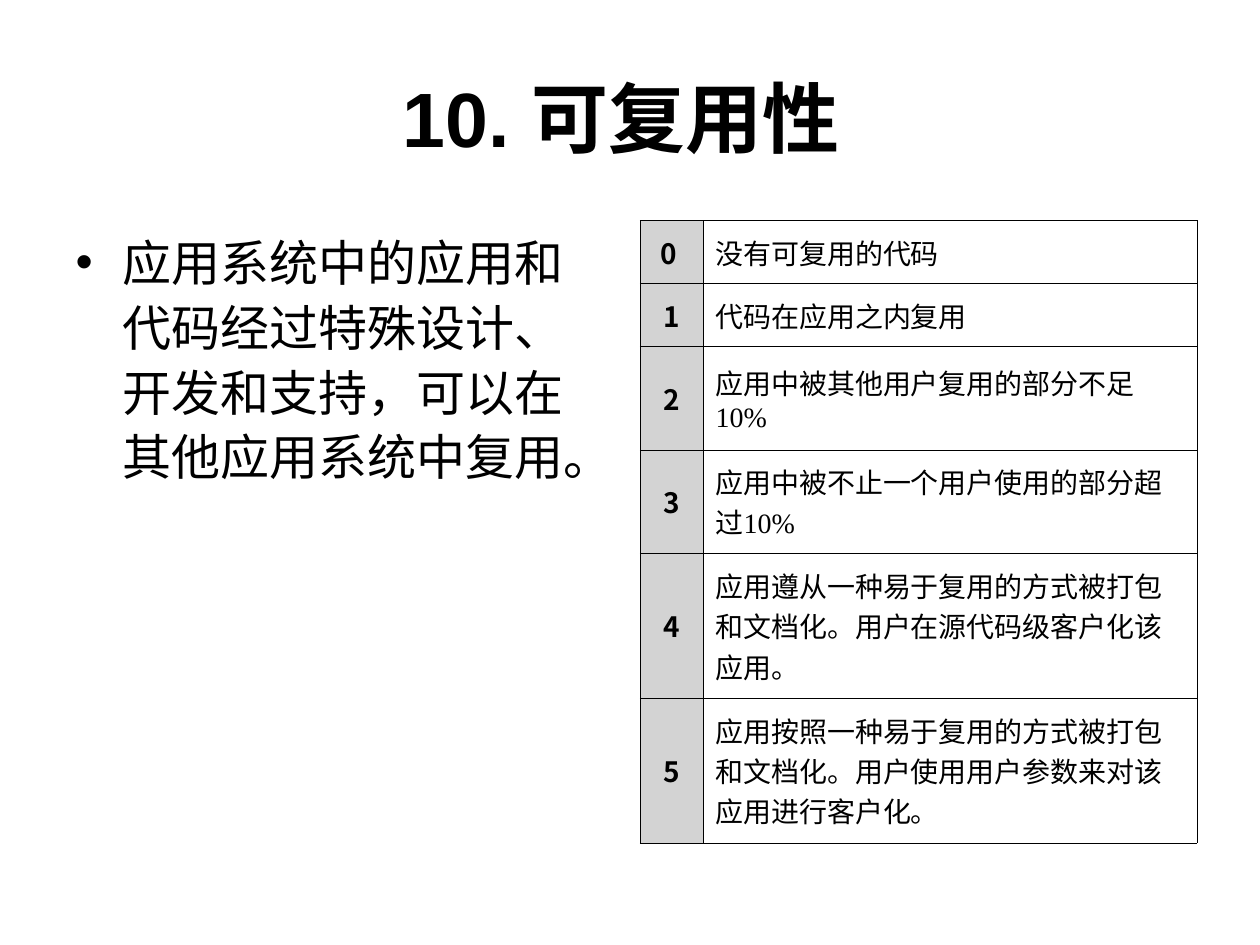
import pptx
import pptx.dml.color
import pptx.enum.text
import pptx.util
from lxml import etree
from pptx.oxml.ns import qn

Inches, Pt = pptx.util.Inches, pptx.util.Pt
PP_ALIGN = pptx.enum.text.PP_ALIGN
MIDDLE = pptx.enum.text.MSO_ANCHOR.MIDDLE

# Content
HEADING = "10. 可复用性 "
DEFINITION = "应用系统中的应用和代码经过特殊设计、开发和支持，可以在其他应用系统中复用。"
RATINGS = [  # score, description, row height
    ("0\u00a0", "没有可复用的代码", 0.5),
    ("1", "代码在应用之内复用", 0.5),
    ("2", "应用中被其他用户复用的部分不足10%", 0.82),
    ("3", "应用中被不止一个用户使用的部分超过10%", 0.82),
    ("4", "应用遵从一种易于复用的方式被打包和文档化。用户在源代码级客户化该应用。", 1.15),
    ("5", "应用按照一种易于复用的方式被打包和文档化。用户使用用户参数来对该应用进行客户化。", 1.15),
]
COLUMN_WIDTHS = (0.5, 3.92)
INK, SCORE_FILL, PAPER = "000000", "D3D3D3", "FFFFFF"
CJK_FONT = "Noto Sans CJK SC"


def color(hex_value):
    return pptx.dml.color.RGBColor.from_string(hex_value)


def place(box, left, top, width, height):
    box.left, box.top = Inches(left), Inches(top)
    box.width, box.height = Inches(width), Inches(height)


def write(frame, text, size, font, bold=False, align=PP_ALIGN.LEFT):
    paragraph = frame.paragraphs[0]
    paragraph.alignment = align
    paragraph.space_before = Pt(0)
    run = paragraph.add_run()
    run.text = text
    run.font.size, run.font.name, run.font.bold = Pt(size), font, bold
    run.font.color.rgb = color(INK)
    east_asian = etree.SubElement(run.font._element, qn("a:ea"))
    east_asian.set("typeface", CJK_FONT)
    return paragraph


def outline(cell, width):
    properties = cell._tc.get_or_add_tcPr()
    for index, side in enumerate(("lnL", "lnR", "lnT", "lnB")):
        line = etree.Element(qn(f"a:{side}"), w=str(Pt(width)))
        fill = etree.SubElement(line, qn("a:solidFill"))
        etree.SubElement(fill, qn("a:srgbClr"), val=INK)
        properties.insert(index, line)


deck = pptx.Presentation()
deck.slide_width, deck.slide_height = Inches(10), Inches(7.5)
slide = deck.slides.add_slide(deck.slide_layouts[1])

# Heading
heading = slide.shapes.title
place(heading, 0.5, 0.3, 9, 1.25)
heading.text_frame.vertical_anchor = MIDDLE
write(heading.text_frame, HEADING, 44, "Arial", True, PP_ALIGN.CENTER)

# Definition, with the bullet of the template
definition = slide.placeholders[1]
place(definition, 0.5, 1.75, 4.42, 4.95)
write(definition.text_frame, DEFINITION, 28, "Arial").line_spacing = 1.1

# Rating scale
scale = slide.shapes.add_table(
    len(RATINGS), len(COLUMN_WIDTHS), Inches(5.08), Inches(1.75),
    Inches(sum(COLUMN_WIDTHS)), Inches(sum(row[2] for row in RATINGS))).table
scale.first_row = scale.horz_banding = False
for column, width in zip(scale.columns, COLUMN_WIDTHS):
    column.width = Inches(width)

for row, (score, description, height) in zip(scale.rows, RATINGS):
    row.height = Inches(height)
    score_cell, description_cell = row.cells
    for cell, fill in ((score_cell, SCORE_FILL), (description_cell, PAPER)):
        cell.vertical_anchor = MIDDLE
        cell.fill.solid()
        cell.fill.fore_color.rgb = color(fill)
        outline(cell, 0.34)
    write(score_cell.text_frame, score, 16, CJK_FONT, True, PP_ALIGN.CENTER)
    write(description_cell.text_frame, description, 16, "Times New Roman")

deck.save("out.pptx")
